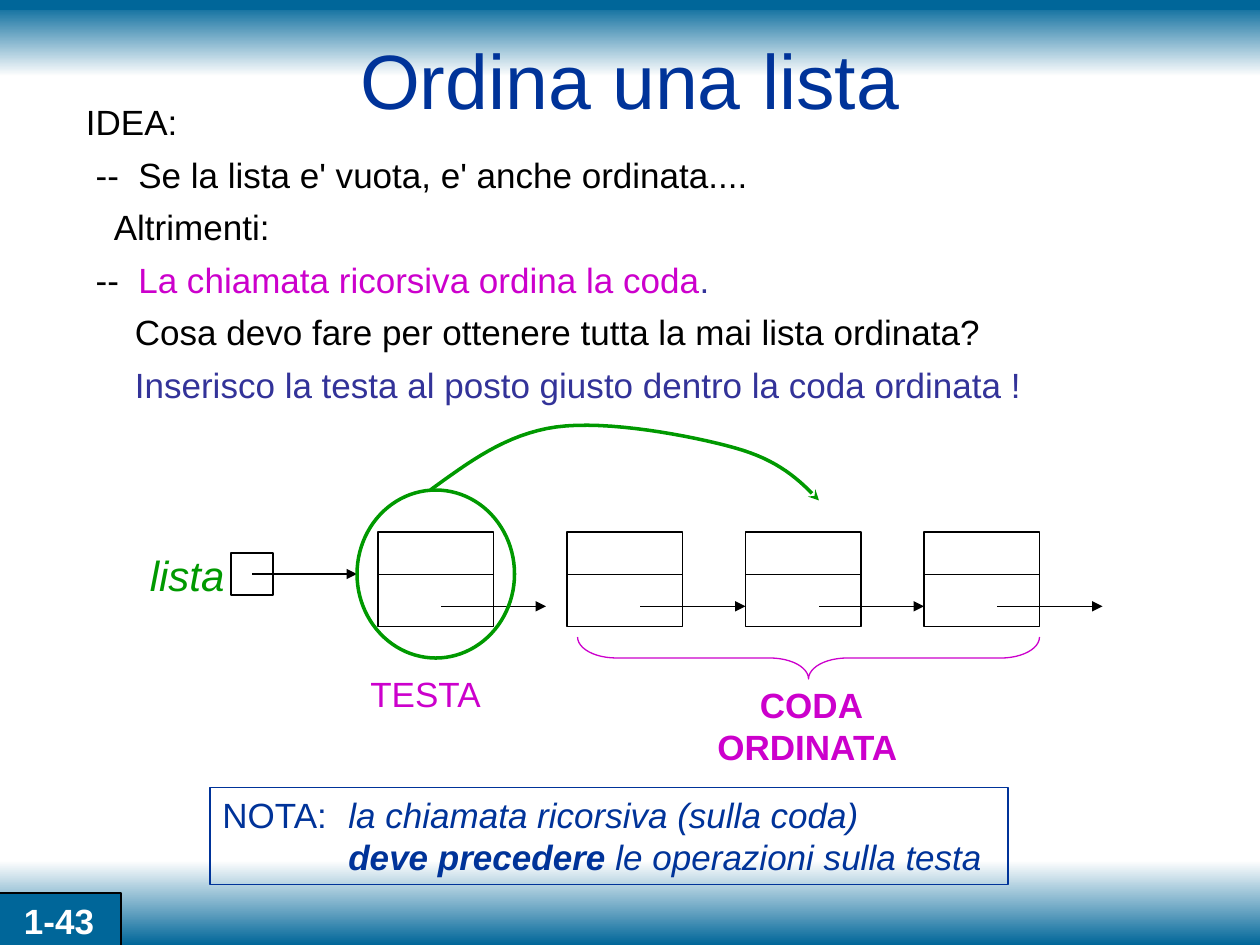
from lxml.etree import SubElement
from pptx import Presentation
from pptx.dml.color import RGBColor
from pptx.enum.shapes import MSO_CONNECTOR, MSO_SHAPE
from pptx.enum.text import MSO_ANCHOR, PP_ALIGN
from pptx.oxml.ns import qn
from pptx.util import Pt

COLOURS = {
    "band": "006699", "pale": "FEFEFE", "white": "FFFFFF", "black": "000000",
    "title": "003399", "indigo": "333399", "magenta": "CC00CC", "green": "009900",
}
NODE_WIDTH, NODE_HEIGHT, NODE_TOP = 66, 54, 304
DIVIDER_Y, POINTER_Y, POINTER_LENGTH = 328.5, 346.5, 60
NODES = [(216, 36), (324, 42), (426, 42), (528, 42)]
INSERTION_CURVES = [
    [(246, 280), (267.5, 264.5), (289, 248), (318, 244)],
    [(318, 244), (347, 240), (395, 249), (420, 256)],
    [(420, 256), (445, 263), (456.5, 274), (468, 286)],
]
IDEA_LINES = [
    (0, 0, [("IDEA:", "black")]),
    (30, -24.4, [("--\tSe la lista e' vuota, e' anche ordinata....", "black")]),
    (16, 0, [("Altrimenti:", "black")]),
    (30, -24.4, [("--\t", "black"), ("La chiamata ricorsiva ordina la coda", "magenta"),
                 (".", "indigo")]),
    (28, 0, [("Cosa devo fare per ottenere tutta la mai lista ordinata?", "black")]),
    (28, 0, [("Inserisco la testa al posto giusto dentro la coda ordinata !", "indigo")]),
]


def colour(name):
    return RGBColor.from_string(COLOURS[name])


def apply(target, values):
    for name, value in values.items():
        setattr(target, name, value)


def set_indent(paragraph, left, first):
    properties = paragraph._p.get_or_add_pPr()
    properties.set("marL", str(Pt(left)))
    properties.set("indent", str(Pt(first)))


def add_run(paragraph, text, colour_name, size=20, **font_values):
    run = paragraph.add_run()
    run.text = text
    apply(run.font, {"name": "Arial", "size": Pt(size), **font_values})
    run.font.color.rgb = colour(colour_name)


def next_paragraph(frame, index):
    return frame.paragraphs[0] if index == 0 else frame.add_paragraph()


def set_line(shape, colour_name, width):
    shape.line.color.rgb = colour(colour_name)
    shape.line.width = Pt(width)


def add_arrowhead(shape, kind):
    line = shape.line._get_or_add_ln()
    SubElement(line, qn("a:tailEnd"), type=kind, w="med", len="med")


def add_box(slide, box, kind=MSO_SHAPE.RECTANGLE, line="black", width=0.75, fill=None):
    shape = slide.shapes.add_shape(kind, *map(Pt, box))
    shape.shadow.inherit = False
    if fill:
        shape.fill.solid()
        shape.fill.fore_color.rgb = colour(fill)
    else:
        shape.fill.background()
    set_line(shape, line, width)
    return shape


def add_gradient(slide, box, first, last):
    shape = add_box(slide, box)
    shape.line.fill.background()
    shape.fill.gradient()
    shape.fill.gradient_angle = 270
    for stop, name in zip(shape.fill.gradient_stops, (first, last)):
        stop.color.rgb = colour(name)


def add_line(slide, start, end, line="black", width=0.75, arrow=None):
    connector = slide.shapes.add_connector(MSO_CONNECTOR.STRAIGHT, *map(Pt, start + end))
    set_line(connector, line, width)
    if arrow:
        add_arrowhead(connector, arrow)
    SubElement(connector._element.spPr, qn("a:effectLst"))


def add_label(slide, box, lines, colour_name, size=20, align=PP_ALIGN.LEFT, **font_values):
    frame = slide.shapes.add_textbox(*map(Pt, box)).text_frame
    frame.word_wrap = False
    for index, text in enumerate(lines):
        paragraph = next_paragraph(frame, index)
        paragraph.alignment = align
        add_run(paragraph, text, colour_name, size, **font_values)


def curve_point(curve, t):
    weights = ((1 - t) ** 3, 3 * t * (1 - t) ** 2, 3 * t ** 2 * (1 - t), t ** 3)
    return tuple(Pt(sum(w * point[axis] for w, point in zip(weights, curve))) for axis in (0, 1))


def add_insertion_arrow(slide, steps=16):
    points = [curve_point(curve, step / steps)
              for curve in INSERTION_CURVES for step in range(1, steps + 1)]
    builder = slide.shapes.build_freeform(*map(Pt, INSERTION_CURVES[0][0]))
    builder.add_line_segments(points, close=False)
    shape = builder.convert_to_shape()
    shape.shadow.inherit = False
    shape.fill.background()
    set_line(shape, "green", 2)
    add_arrowhead(shape, "stealth")


def add_backdrop(slide):
    add_gradient(slide, (0, 1.5, 720, 42), "band", "pale")
    add_gradient(slide, (0, 492, 720, 48), "pale", "band")
    add_line(slide, (0, 3), (720, 3), "band", 6)
    number = add_box(slide, (-1.5, 510.5, 70.5, 31.5), fill="band", width=1)
    paragraph = number.text_frame.paragraphs[0]
    paragraph.alignment = PP_ALIGN.CENTER
    add_run(paragraph, "1-43", "white", bold=True)


def add_title(slide):
    title = slide.shapes.title
    apply(title, {"left": Pt(54), "top": Pt(0), "width": Pt(612), "height": Pt(90)})
    title.text_frame.vertical_anchor = MSO_ANCHOR.MIDDLE
    paragraph = title.text_frame.paragraphs[0]
    paragraph.alignment = PP_ALIGN.CENTER
    add_run(paragraph, "Ordina una lista", "title", 44)
    slide.shapes._spTree.append(title._element)


def add_idea(slide):
    frame = slide.shapes.add_textbox(Pt(42), Pt(54), Pt(642), Pt(372)).text_frame
    frame.word_wrap = True
    for index, (left, first, runs) in enumerate(IDEA_LINES):
        paragraph = next_paragraph(frame, index)
        paragraph.space_before = Pt(6)
        set_indent(paragraph, left, first)
        for text, name in runs:
            add_run(paragraph, text, name)


def add_list(slide):
    add_box(slide, (132, 316, 24, 24))
    add_line(slide, (144, 328), (204, 328), arrow="triangle")
    for left, pointer_offset in NODES:
        add_box(slide, (left, NODE_TOP, NODE_WIDTH, NODE_HEIGHT))
        add_line(slide, (left, DIVIDER_Y), (left + NODE_WIDTH, DIVIDER_Y))
        start = left + pointer_offset
        add_line(slide, (start, POINTER_Y), (start + POINTER_LENGTH, POINTER_Y),
                 arrow="triangle")
    add_label(slide, (78.5, 310.5, 57, 36), ["lista"], "green", 24, italic=True)
    add_label(slide, (204.5, 381, 78.5, 31.5), ["TESTA"], "magenta")
    add_label(slide, (401, 387, 125.5, 55.5), ["CODA", "ORDINATA "], "magenta",
              align=PP_ALIGN.CENTER, bold=True)
    brace = add_box(slide, (450, 244, 24, 264), MSO_SHAPE.RIGHT_BRACE, "magenta")
    brace.rotation = 90
    brace.adjustments[0] = 0.92
    add_box(slide, (204, 280, 90, 96), MSO_SHAPE.OVAL, "green", 2)
    add_insertion_arrow(slide)


def add_note(slide):
    frame = add_box(slide, (120, 450, 456, 55.5), line="title").text_frame
    apply(frame, {"word_wrap": True, "vertical_anchor": MSO_ANCHOR.TOP})
    lines = [
        (-72, [("NOTA:\t", {}), ("la chiamata ricorsiva (sulla coda)", {"italic": True})]),
        (0, [("deve precedere", {"italic": True, "bold": True}),
             (" le operazioni sulla testa", {"italic": True})]),
    ]
    for index, (first, runs) in enumerate(lines):
        paragraph = next_paragraph(frame, index)
        paragraph.alignment = PP_ALIGN.LEFT
        set_indent(paragraph, 72, first)
        for text, font_values in runs:
            add_run(paragraph, text, "title", **font_values)


def main():
    presentation = Presentation()
    apply(presentation, {"slide_width": Pt(720), "slide_height": Pt(540)})
    slide = presentation.slides.add_slide(presentation.slide_layouts[5])
    add_backdrop(slide)
    add_title(slide)
    add_idea(slide)
    add_list(slide)
    add_note(slide)
    presentation.save("out.pptx")


if __name__ == "__main__":
    main()
